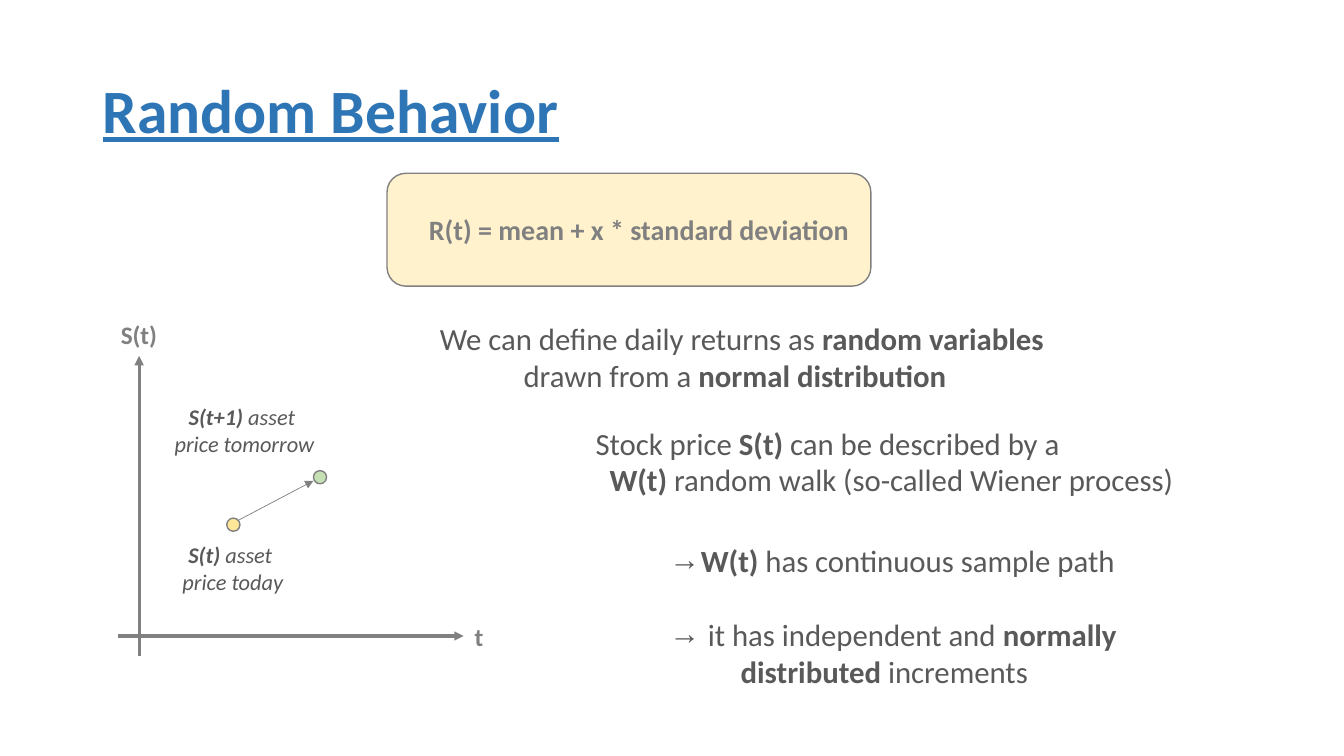
from dataclasses import dataclass
from typing import Optional

from lxml.etree import SubElement
from pptx import Presentation
from pptx.dml.color import RGBColor
from pptx.enum.shapes import MSO_CONNECTOR, MSO_SHAPE
from pptx.enum.text import MSO_ANCHOR, MSO_AUTO_SIZE, PP_ALIGN
from pptx.oxml.ns import qn
from pptx.util import Pt

BLUE = RGBColor(0x2E, 0x75, 0xB6)
GREY = RGBColor(0x80, 0x80, 0x80)
DARK_GREY = RGBColor(0x59, 0x59, 0x59)
CREAM = RGBColor(0xFF, 0xF2, 0xCC)
YELLOW = RGBColor(0xFF, 0xE6, 0x99)
GREEN = RGBColor(0xC5, 0xE0, 0xB4)
FONT = "Calibri"
DOT_SIZE = 9.4


@dataclass
class Span:
    text: str
    bold: bool = False


@dataclass
class Line:
    spans: list[Span]
    margin: float = 0
    hanging: float = 0
    bullet: Optional[str] = None
    space_before: float = 0


@dataclass
class TextBlock:
    left: float
    top: float
    width: float
    height: float
    lines: list[Line]
    size: float
    color: RGBColor = DARK_GREY
    italic: bool = False
    align: PP_ALIGN = PP_ALIGN.LEFT


@dataclass
class Arrow:
    start: tuple[float, float]
    end: tuple[float, float]
    weight: float


@dataclass
class Dot:
    left: float
    top: float
    color: RGBColor


CAPTIONS = [
    TextBlock(79.2, 224.6, 41, 29, [Line([Span("S(t)", True)])], 18, GREY),
    TextBlock(331.9, 440.6, 21, 29, [Line([Span("t", True)])], 18, GREY),
    TextBlock(122.4, 383, 87.8, 46, [
        Line([Span("S(t)", True), Span(" asset ")]),
        Line([Span("price today")]),
    ], 16, italic=True, align=PP_ALIGN.CENTER),
    TextBlock(115.9, 284.4, 117.4, 46, [
        Line([Span("S(t+1)", True), Span(" asset ")]),
        Line([Span("price tomorrow")]),
    ], 16, italic=True, align=PP_ALIGN.CENTER),
    TextBlock(294.6, 224.6, 460.7, 60.5, [
        Line([Span("We can define daily returns as "), Span("random variables", True)], margin=10),
        Line([Span("drawn from a "), Span("normal distribution", True)]),
    ], 22, align=PP_ALIGN.CENTER),
    TextBlock(418.3, 299.5, 432, 60.5, [
        Line([Span("Stock price "), Span("S(t)", True), Span(" can be described by a")]),
        Line([Span("W(t) ", True), Span("random walk (so-called Wiener process)")], margin=10),
    ], 22),
]

PROPERTIES = TextBlock(470.9, 383, 336.2, 113.8, [
    Line([Span("W(t) ", True), Span("has continuous sample path")],
         margin=22.5, hanging=22.5, bullet="→"),
    Line([Span("it has independent and "), Span("normally", True)],
         margin=27.5, hanging=27.5, bullet="→", space_before=26.8),
    Line([Span("distributed", True), Span(" increments")], margin=51),
], 22)

ARROWS = [
    Arrow((99.4, 468.7), (99.4, 254.2), 2.25),
    Arrow((84.2, 454.3), (331.2, 454.3), 2.25),
    Arrow((169.2, 372.2), (223.9, 343.4), 0.5),
]
DOTS = [Dot(162, 370.1, YELLOW), Dot(223.9, 336.2, GREEN)]


def fill_text(frame, block: TextBlock) -> None:
    """Write the lines of a block into a text frame."""
    for index, line in enumerate(block.lines):
        para = frame.paragraphs[0] if index == 0 else frame.add_paragraph()
        properties = para._p.get_or_add_pPr()
        properties.set("marL", str(Pt(line.margin)))
        properties.set("indent", str(Pt(-line.hanging)))
        if line.bullet:
            SubElement(properties, qn("a:buChar"), char=line.bullet)
        else:
            SubElement(properties, qn("a:buNone"))
        para.alignment = block.align
        para.space_before = Pt(line.space_before)
        for span in line.spans:
            run = para.add_run()
            run.text = span.text
            run.font.name = FONT
            run.font.size = Pt(block.size)
            run.font.bold = span.bold
            run.font.italic = block.italic
            run.font.color.rgb = block.color


def place(shape, left: float, top: float, width: float, height: float) -> None:
    shape.left, shape.top = Pt(left), Pt(top)
    shape.width, shape.height = Pt(width), Pt(height)


def add_caption(slide, block: TextBlock) -> None:
    box = slide.shapes.add_textbox(Pt(block.left), Pt(block.top), Pt(block.width), Pt(block.height))
    box.text_frame.word_wrap = False
    fill_text(box.text_frame, block)


def add_outlined(slide, kind: MSO_SHAPE, left: float, top: float,
                 width: float, height: float, color: RGBColor):
    shape = slide.shapes.add_shape(kind, Pt(left), Pt(top), Pt(width), Pt(height))
    shape.shadow.inherit = False
    shape.fill.solid()
    shape.fill.fore_color.rgb = color
    shape.line.color.rgb = GREY
    shape.line.width = Pt(1)
    return shape


def add_arrow(slide, arrow: Arrow) -> None:
    connector = slide.shapes.add_connector(
        MSO_CONNECTOR.STRAIGHT, *map(Pt, arrow.start), *map(Pt, arrow.end))
    connector.line.color.rgb = GREY
    connector.line.width = Pt(arrow.weight)
    SubElement(connector.line._get_or_add_ln(), qn("a:tailEnd"), type="triangle")
    SubElement(connector._element.spPr, qn("a:effectLst"))


def set_title(title) -> None:
    place(title, 66.2, 28.8, 828, 104.4)
    frame = title.text_frame
    frame.text = "Random Behavior"
    frame.auto_size = MSO_AUTO_SIZE.NONE
    frame.vertical_anchor = MSO_ANCHOR.MIDDLE
    para = frame.paragraphs[0]
    para.alignment = PP_ALIGN.LEFT
    para.line_spacing = 0.9
    font = para.runs[0].font
    font.name, font.size = FONT, Pt(44)
    font.bold = font.underline = True
    font.color.rgb = BLUE


def main() -> None:
    deck = Presentation()
    deck.slide_width, deck.slide_height = Pt(960), Pt(540)
    slide = deck.slides.add_slide(deck.slide_layouts[1])
    set_title(slide.shapes.title)

    body = slide.placeholders[1]
    place(body, PROPERTIES.left, PROPERTIES.top, PROPERTIES.width, PROPERTIES.height)
    body.text_frame.auto_size = MSO_AUTO_SIZE.NONE
    body.text_frame.word_wrap = False
    fill_text(body.text_frame, PROPERTIES)

    formula = TextBlock(276.5, 123.8, 345.6, 80.6,
                        [Line([Span("R(t) = mean + x * standard deviation", True)])], 20, GREY)
    panel = add_outlined(slide, MSO_SHAPE.ROUNDED_RECTANGLE, formula.left, formula.top,
                         formula.width, formula.height, CREAM)
    panel.text_frame.margin_left = Pt(26)
    panel.text_frame.margin_right = Pt(0)
    panel.text_frame.vertical_anchor = MSO_ANCHOR.MIDDLE
    fill_text(panel.text_frame, formula)

    for arrow in ARROWS:
        add_arrow(slide, arrow)
    for dot in DOTS:
        add_outlined(slide, MSO_SHAPE.OVAL, dot.left, dot.top, DOT_SIZE, DOT_SIZE, dot.color)
    for caption in CAPTIONS:
        add_caption(slide, caption)
    deck.save("out.pptx")


if __name__ == "__main__":
    main()
